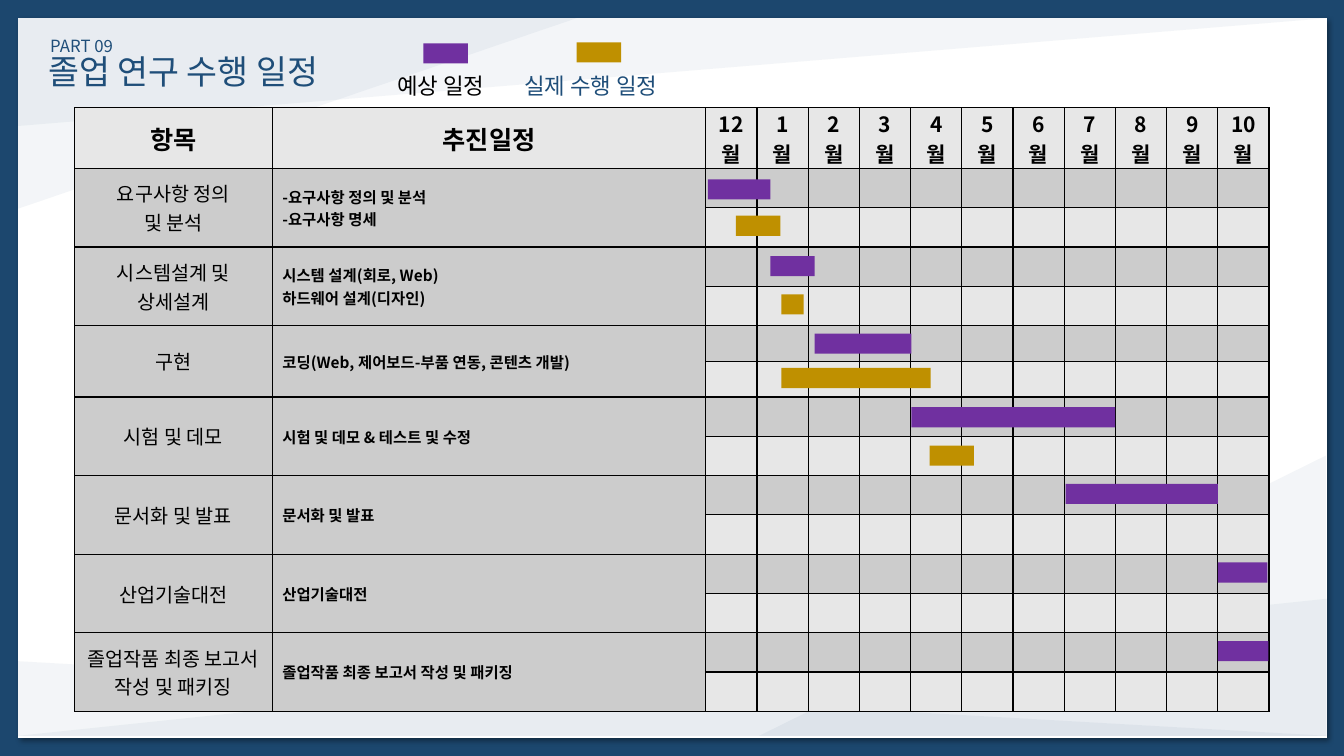
from lxml import etree
from pptx import Presentation, util as u
from pptx.dml.color import RGBColor
from pptx.enum import shapes, text
from pptx.oxml import ns

FONT = "Noto Sans CJK KR"
COLORS = {
    "frame": "1C476E", "card": "FFFFFF", "navy": "1F4E79", "black": "000000",
    "light": "E7E7E7", "grey": "CCCCCC", "planned": "7030A0", "actual": "BF9000",
}
MONTHS = ["12월"] + [f"{month}월" for month in range(1, 11)]
TASKS = [
    (["요구사항 정의", "및 분석"], ["-요구사항 정의 및 분석", "-요구사항 명세"]),
    (["시스템설계 및", "상세설계"], ["시스템 설계(회로, Web)", "하드웨어 설계(디자인)"]),
    (["구현"], ["코딩(Web, 제어보드-부품 연동, 콘텐츠 개발)"]),
    (["시험 및 데모"], ["시험 및 데모 & 테스트 및 수정"]),
    (["문서화 및 발표"], ["문서화 및 발표"]),
    (["산업기술대전"], ["산업기술대전"]),
    (["졸업작품 최종 보고서 작성 및 패키징"], ["졸업작품 최종 보고서 작성 및 패키징"]),
]
ROW_HEIGHTS = [0.6] + [0.39] * 4 + [0.355] * 2 + [0.39] * 8
COLUMN_WIDTHS = [1.96, 4.3] + [5.59 / len(MONTHS)] * len(MONTHS)
BAR_HEIGHT = 0.2
# left, top, width; the first bar of each kind is its legend key
BARS = {
    "planned": [(4.2, 0.43, 0.44), (7.02, 1.78, 0.62), (7.64, 2.54, 0.44),
                (8.08, 3.31, 0.96), (9.04, 4.04, 2.02), (10.57, 4.8, 1.51),
                (12.08, 5.58, 0.49), (12.08, 6.36, 0.5)],
    "actual": [(5.72, 0.42, 0.44), (7.3, 2.14, 0.44), (7.75, 2.92, 0.22),
               (7.75, 3.65, 1.48), (9.22, 4.42, 0.44)],
}
# place, rotation, flips
TRIANGLES = [
    ((0.18, 5.94, 12.98, 1.36), 0, ["flipH"]),
    ((7.53, 4.52, 5.62, 2.78), 0, ["flipH"]),
    ((0.18, 0.18, 12.98, 1.07), 180, ["flipH"]),
    ((0.18, 0.18, 5.54, 1.89), 180, ["flipH"]),
    ((0.18, 6.56, 12.98, 0.74), 180, ["flipH", "flipV"]),
]


def rgb(name):
    return RGBColor.from_string(COLORS[name])


def add_xml(parent, tag, **attributes):
    values = {key: str(value) for key, value in attributes.items()}
    return etree.SubElement(parent, ns.qn(tag), values)


def add_color(parent, name, opacity):
    color = add_xml(parent, "a:srgbClr", val=COLORS[name])
    add_xml(color, "a:alpha", val=opacity * 1000)


def set_all(target, values):
    for name, value in values.items():
        setattr(target, name, value)


def write(frame, lines, size, color="black", bold=False, align=text.PP_ALIGN.LEFT):
    for index, line in enumerate(lines):
        para = frame.paragraphs[0] if index == 0 else frame.add_paragraph()
        para.alignment = align
        span = para.add_run()
        span.text = line
        set_all(span.font, {"size": u.Pt(size), "bold": bold, "name": FONT})
        span.font.color.rgb = rgb(color)
        add_xml(span.font._element, "a:ea", typeface=FONT)


def add_filled(slide, kind, place, color):
    shape = slide.shapes.add_shape(kind, *map(u.Inches, place))
    shape.shadow.inherit = False
    shape.fill.solid()
    shape.fill.fore_color.rgb = rgb(color)
    shape.line.fill.background()
    return shape


def add_card(slide):
    card = add_filled(slide, shapes.MSO_SHAPE.RECTANGLE, (0.18, 0.18, 12.98, 7.14), "card")
    effects = card._element.spPr.find(ns.qn("a:effectLst"))
    shadow = add_xml(effects, "a:outerShdw", blurRad=u.Pt(4), dist=u.Pt(3),
                     dir=45 * 60000, algn="tl", rotWithShape=0)
    add_color(shadow, "black", 40)


def add_triangle(slide, place, rotation, flips):
    triangle = add_filled(slide, shapes.MSO_SHAPE.RIGHT_TRIANGLE, place, "navy")
    triangle.rotation = rotation
    for flip in flips:
        triangle._element.spPr.xfrm.set(flip, "1")
    color = triangle._element.spPr.find(".//" + ns.qn("a:srgbClr"))
    add_xml(color, "a:alpha", val=5000)


def add_label(slide, place, wording, size, color):
    box = slide.shapes.add_textbox(*map(u.Inches, place))
    set_all(box.text_frame, {"word_wrap": False,
                             "auto_size": text.MSO_AUTO_SIZE.SHAPE_TO_FIT_TEXT})
    write(box.text_frame, [wording], size, color)
    return box


def outline_text(box):
    props = box.text_frame.paragraphs[0].runs[0].font._element
    line = add_xml(props, "a:ln", w=u.Pt(0.75))
    add_color(add_xml(line, "a:solidFill"), "navy", 50)
    props.insert(0, line)


def style_cell(cell, color):
    """Fill the cell and rule all four sides in black."""
    set_all(cell, {"vertical_anchor": text.MSO_ANCHOR.MIDDLE,
                   "margin_top": 0, "margin_bottom": 0})
    cell.fill.solid()
    cell.fill.fore_color.rgb = rgb(color)
    props = cell._tc.get_or_add_tcPr()
    for index, side in enumerate(("a:lnL", "a:lnR", "a:lnT", "a:lnB")):
        line = add_xml(props, side, w=u.Pt(1))
        add_xml(add_xml(line, "a:solidFill"), "a:srgbClr", val=COLORS["black"])
        props.insert(index, line)


def add_schedule(slide):
    place = (0.74, 1.07, sum(COLUMN_WIDTHS), sum(ROW_HEIGHTS))
    table = slide.shapes.add_table(len(ROW_HEIGHTS), len(COLUMN_WIDTHS),
                                   *map(u.Inches, place)).table
    set_all(table, {"first_row": False, "horz_banding": False})
    for column, width in zip(table.columns, COLUMN_WIDTHS):
        column.width = u.Inches(width)
    for index, (row, height) in enumerate(zip(table.rows, ROW_HEIGHTS)):
        row.height = u.Inches(height)
        for cell in row.cells:
            style_cell(cell, "grey" if index % 2 else "light")

    center = text.PP_ALIGN.CENTER
    for column, heading in enumerate(["항목", "추진일정"] + MONTHS):
        write(table.cell(0, column).text_frame, [heading], 18 if column < 2 else 15,
              bold=True, align=center)
    for index, (item, details) in enumerate(TASKS):
        top = 1 + 2 * index
        for column in (0, 1):
            table.cell(top, column).merge(table.cell(top + 1, column))
        write(table.cell(top, 0).text_frame, item, 14, align=center)
        write(table.cell(top, 1).text_frame, details, 11, bold=True)


def main():
    deck = Presentation()
    set_all(deck, {"slide_width": u.Inches(13.33), "slide_height": u.Inches(7.5)})
    slide = deck.slides.add_slide(deck.slide_layouts[6])
    slide.background.fill.solid()
    slide.background.fill.fore_color.rgb = rgb("frame")

    add_card(slide)
    for triangle in TRIANGLES:
        add_triangle(slide, *triangle)
    add_label(slide, (0.38, 0.46, 3.23, 0.5), "졸업 연구 수행 일정", 24, "navy")
    add_schedule(slide)
    for kind, bars in BARS.items():
        for left, top, width in bars:
            add_filled(slide, shapes.MSO_SHAPE.RECTANGLE,
                       (left, top, width, BAR_HEIGHT), kind)
    add_label(slide, (3.84, 0.67, 1.17, 0.37), "예상 일정", 16, "black")
    add_label(slide, (5.1, 0.67, 1.68, 0.37), "실제 수행 일정", 16, "navy")
    outline_text(add_label(slide, (0.4, 0.31, 0.83, 0.3), "PART 09", 12, "navy"))
    deck.save("out.pptx")


if __name__ == "__main__":
    main()
